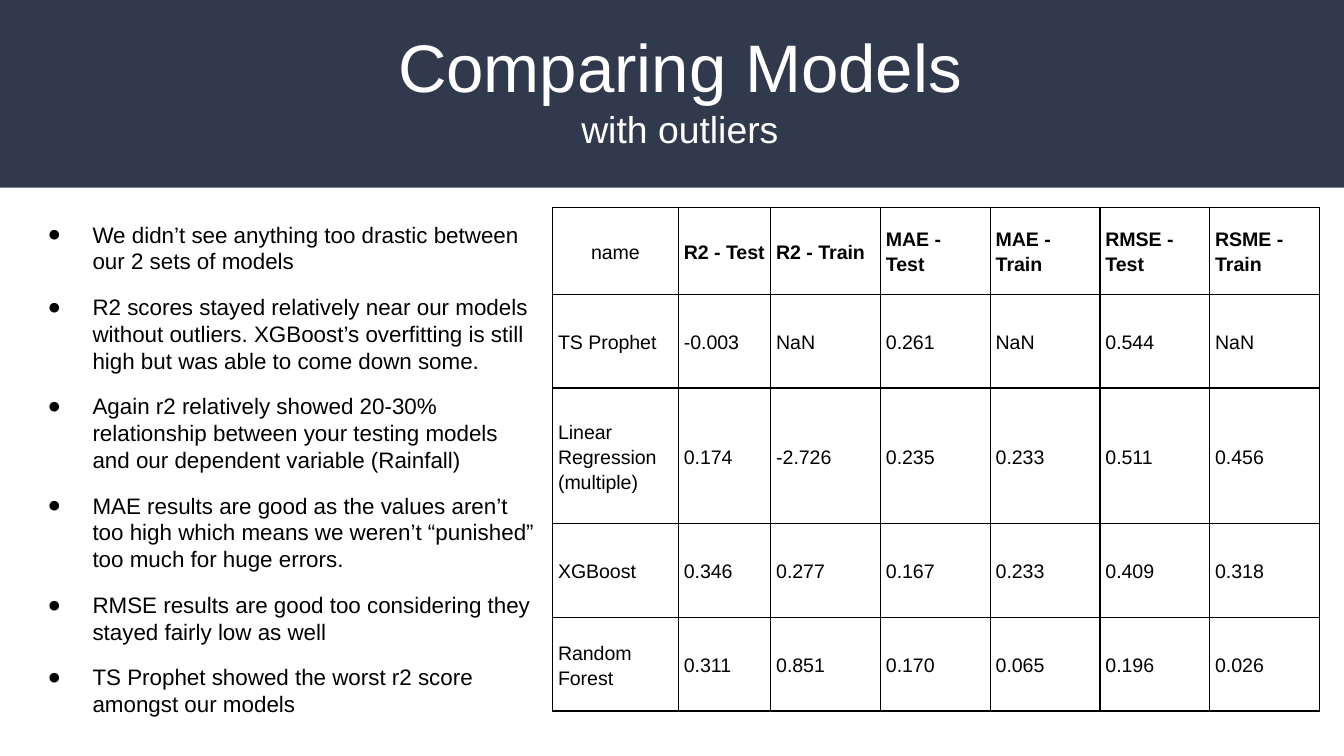
from lxml.etree import SubElement
from pptx import Presentation
from pptx.dml.color import RGBColor
from pptx.enum.shapes import MSO_SHAPE
from pptx.enum.text import MSO_ANCHOR, PP_ALIGN
from pptx.oxml.ns import qn
from pptx.util import Pt

FONT = "Arial"
NAVY, WHITE, BLACK = "31394D", "FFFFFF", "000000"
LEADING = 1.2

TITLE_LINES = [("Comparing Models", 36), ("with outliers", 20)]
FINDINGS = [
    "We didn’t see anything too drastic between our 2 sets of models",
    "R2 scores stayed relatively near our models without outliers. "
    "XGBoost’s overfitting is still high but was able to come down some.",
    "Again r2 relatively showed 20-30% relationship between your testing "
    "models and our dependent variable (Rainfall)",
    "MAE results are good as the values aren’t too high which means we "
    "weren’t “punished” too much for huge errors.",
    "RMSE results are good too considering they stayed fairly low as well",
    "TS Prophet showed the worst r2 score amongst our models",
]
SCORES = [
    ["name", "R2 - Test", "R2 - Train", "MAE - Test", "MAE - Train",
     "RMSE - Test", "RSME - Train"],
    ["TS Prophet", "-0.003", "NaN", "0.261", "NaN", "0.544", "NaN"],
    ["Linear Regression (multiple)", "0.174", "-2.726", "0.235", "0.233",
     "0.511", "0.456"],
    ["XGBoost", "0.346", "0.277", "0.167", "0.233", "0.409", "0.318"],
    ["Random Forest", "0.311", "0.851", "0.170", "0.065", "0.196", "0.026"],
]
COLUMN_SHARES = [0.94, 0.69] + [0.82] * 5
ROW_SHARES = [0.65, 0.7, 1.01, 0.7, 0.7]


def color(hex_code):
    return RGBColor.from_string(hex_code)


def style(paragraph, size, hex_code, bold=False):
    font = paragraph.font
    font.name, font.size, font.bold = FONT, Pt(size), bold
    font.color.rgb = color(hex_code)


def set_margins(target, margin):
    target.margin_left = target.margin_right = Pt(margin)
    target.margin_top = target.margin_bottom = Pt(margin)


def add_text_frame(slide, left, top, width, height):
    box = slide.shapes.add_textbox(Pt(left), Pt(top), Pt(width), Pt(height))
    frame = box.text_frame
    frame.word_wrap = True
    set_margins(frame, 7.2)
    return frame


def add_paragraph(frame, index, text, size, hex_code):
    paragraph = frame.add_paragraph() if index else frame.paragraphs[0]
    paragraph.text = text
    paragraph.line_spacing = Pt(size * LEADING)
    style(paragraph, size, hex_code)
    return paragraph


def add_bullet(paragraph):
    properties = paragraph._p.get_or_add_pPr()
    properties.set("marL", str(Pt(36)))
    properties.set("indent", str(Pt(-24)))
    bullet_color = SubElement(properties, qn("a:buClr"))
    SubElement(bullet_color, qn("a:srgbClr"), val=BLACK)
    SubElement(properties, qn("a:buFont"), typeface=FONT)
    SubElement(properties, qn("a:buChar"), char="●")


def add_borders(cell):
    properties = cell._tc.get_or_add_tcPr()
    for side in ("a:lnL", "a:lnR", "a:lnT", "a:lnB"):
        line = SubElement(properties, qn(side), w=str(Pt(0.75)))
        fill = SubElement(line, qn("a:solidFill"))
        SubElement(fill, qn("a:srgbClr"), val=BLACK)


def add_header(slide, left, top, width, height):
    band = slide.shapes.add_shape(
        MSO_SHAPE.RECTANGLE, Pt(left), Pt(top), Pt(width), Pt(height))
    band.shadow.inherit = False
    band.fill.solid()
    band.fill.fore_color.rgb = color(NAVY)
    band.line.fill.background()
    title = add_text_frame(slide, left + 28.8, top + 6.5, width - 49, 49)
    for index, (text, size) in enumerate(TITLE_LINES):
        line = add_paragraph(title, index, text, size, WHITE)
        line.alignment = PP_ALIGN.CENTER


def add_findings(slide, left, top, width, height):
    frame = add_text_frame(slide, left, top, width, height)
    for index, text in enumerate(FINDINGS):
        finding = add_paragraph(frame, index, text, 12, BLACK)
        finding.space_before = Pt(10 if index else 0)
        add_bullet(finding)
    finding.space_after = Pt(10)


def add_scores(slide, left, top, width, height):
    table = slide.shapes.add_table(
        len(SCORES), len(SCORES[0]),
        Pt(left), Pt(top), Pt(width), Pt(height)).table
    table.first_row = table.horz_banding = False
    for column, share in zip(table.columns, COLUMN_SHARES):
        column.width = Pt(width * share / sum(COLUMN_SHARES))
    for row, share in zip(table.rows, ROW_SHARES):
        row.height = Pt(height * share / sum(ROW_SHARES))
    for r, scores in enumerate(SCORES):
        for c, text in enumerate(scores):
            cell = table.cell(r, c)
            cell.text = text
            cell.vertical_anchor = MSO_ANCHOR.MIDDLE
            set_margins(cell, 3)
            add_borders(cell)
            cell.fill.background()
            paragraph = cell.text_frame.paragraphs[0]
            paragraph.line_spacing = 1.15
            style(paragraph, 10.5, BLACK, bold=r == 0 and c > 0)
    table.cell(0, 0).text_frame.paragraphs[0].alignment = PP_ALIGN.CENTER


def main():
    presentation = Presentation()
    presentation.slide_width, presentation.slide_height = Pt(720), Pt(405)
    slide = presentation.slides.add_slide(presentation.slide_layouts[6])
    add_header(slide, 0, 0, 720, 100.5)
    add_scores(slide, 296, 111, 411, 270)
    add_findings(slide, 6.5, 111, 289.5, 214)
    presentation.save("out.pptx")


if __name__ == "__main__":
    main()
